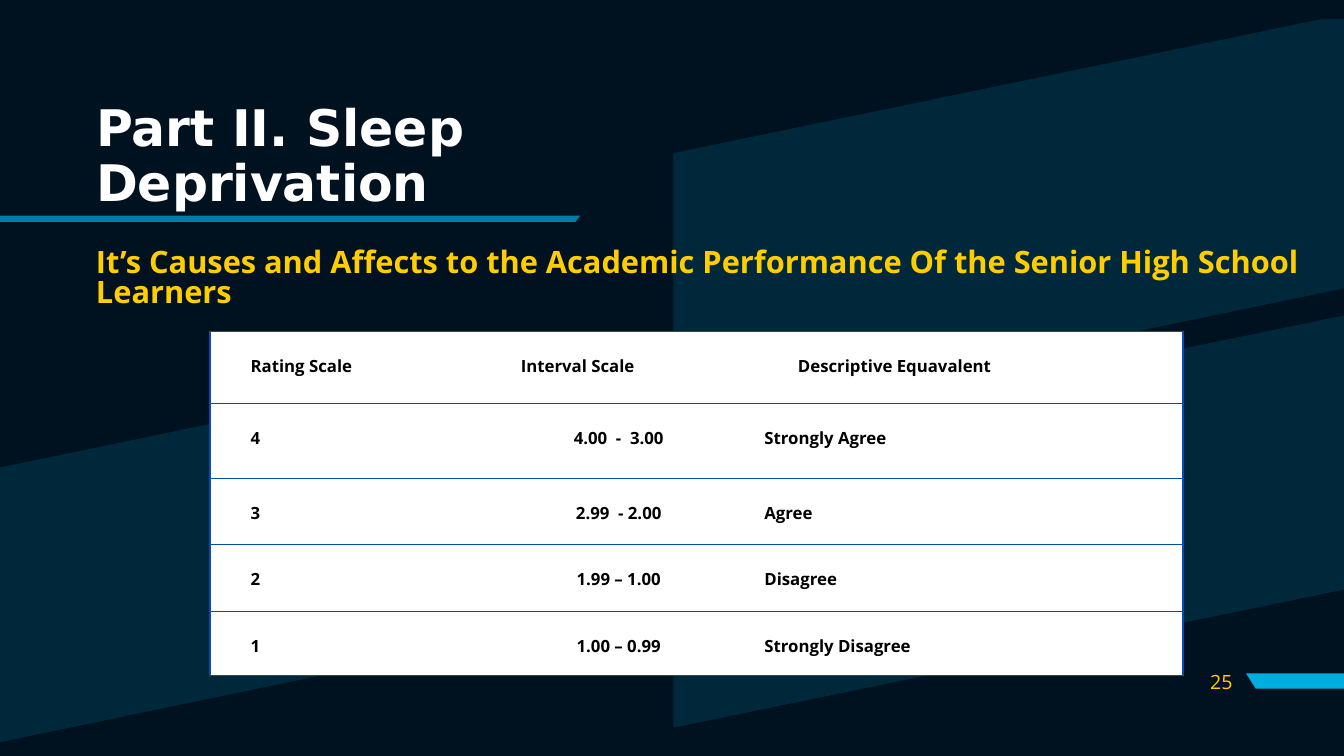
from lxml.etree import SubElement
from pptx import Presentation
from pptx.dml.color import RGBColor
from pptx.enum.text import MSO_ANCHOR, PP_ALIGN
from pptx.oxml import parse_xml
from pptx.oxml.ns import nsdecls, qn
from pptx.util import Pt

NAVY = RGBColor(0x00, 0x11, 0x1F)
CYAN = RGBColor(0x00, 0xAE, 0xDE)
WHITE = RGBColor(0xFF, 0xFF, 0xFF)
BLACK = RGBColor(0x00, 0x00, 0x00)
GOLD = RGBColor(0xFF, 0xCD, 0x00)
BLUE = RGBColor(0x00, 0x4C, 0xB9)

BODY_FONT = "Open Sans"
TITLE_FONT = "DejaVu Sans"

PANELS = [
    [(461.5, 238.3), (461.5, 434.2), (0.7, 530), (0, 530), (0, 334)],
    [(960, 225.4), (960, 421.2), (481, 519.8), (481, 324)],
    [(944, 13.7), (960, 13.7), (960, 206), (481, 305.3), (481, 109.4)],
]
PAGE_BAR = [(960, 481), (960, 491.8), (897, 491.8), (890, 481)]
TITLE_RULE = [(0, 154), (0, 158.5), (411, 158.5), (414.5, 154)]

RATINGS = [
    ("Rating Scale", "Interval Scale", "Descriptive Equavalent"),
    ("4", "4.00  -  3.00", "Strongly Agree"),
    ("3", "2.99  - 2.00", "Agree"),
    ("2", "1.99 – 1.00", "Disagree"),
    ("1", "1.00 – 0.99", "Strongly Disagree"),
]
COLUMN_WIDTHS = [193, 198, 304]
ROW_HEIGHTS = [51, 54, 47, 48, 45.5]


def write_text(frame, text, size, color, font=BODY_FONT, bold=True,
               align=PP_ALIGN.LEFT, spacing=1.0, after=0, indent=0):
    para = frame.paragraphs[0]
    para.alignment = align
    para.line_spacing = spacing
    para.space_after = Pt(after)
    if indent:
        properties = para._p.get_or_add_pPr()
        properties.set("marL", str(Pt(indent)))
        properties.set("indent", "0")
    span = para.add_run()
    span.text = text
    span.font.size = Pt(size)
    span.font.name = font
    span.font.bold = bold
    span.font.color.rgb = color


def add_text_box(page, left, top, width, height, text, anchor, **text_format):
    box = page.shapes.add_textbox(Pt(left), Pt(top), Pt(width), Pt(height))
    box.text_frame.word_wrap = True
    box.text_frame.vertical_anchor = anchor
    write_text(box.text_frame, text, **text_format)


def add_outline(page, contours, opacity=100):
    builder = None
    for contour in contours:
        points = [(Pt(x), Pt(y)) for x, y in contour]
        if builder is None:
            builder = page.shapes.build_freeform(*points[0])
        else:
            builder.move_to(*points[0])
        builder.add_line_segments(points[1:], close=True)
    shape = builder.convert_to_shape()
    shape.shadow.inherit = False
    shape.fill.solid()
    shape.fill.fore_color.rgb = CYAN
    shape.line.fill.background()
    if opacity < 100:
        color = shape.element.spPr.find(qn("a:solidFill")).find(qn("a:srgbClr"))
        SubElement(color, qn("a:alpha")).set("val", str(opacity * 1000))


def set_borders(cell, visible_sides):
    properties = cell._tc.get_or_add_tcPr()
    for position, side in enumerate("LRTB"):
        if side in visible_sides:
            paint = f'<a:solidFill><a:srgbClr val="{BLUE}"/></a:solidFill>'
        else:
            paint = "<a:noFill/>"
        border = parse_xml(
            f'<a:ln{side} {nsdecls("a")} w="{Pt(1)}">{paint}</a:ln{side}>')
        properties.insert(position, border)


def fill_cell(cell, text, row, column):
    cell.margin_left = cell.margin_right = Pt(5)
    cell.margin_top = cell.margin_bottom = Pt(0)
    cell.fill.solid()
    cell.fill.fore_color.rgb = WHITE
    centered = row > 0 and column == 1
    indented = row == 0 or column == 0
    write_text(cell.text_frame, text, size=12, color=BLACK, spacing=2.0, after=10,
               align=PP_ALIGN.CENTER if centered else PP_ALIGN.JUSTIFY,
               indent=24 if indented else 0)
    set_borders(cell, ("LTB", "TB", "RTB")[column])


def add_rating_table(page, left, top):
    frame = page.shapes.add_table(
        len(RATINGS), len(COLUMN_WIDTHS), Pt(left), Pt(top),
        Pt(sum(COLUMN_WIDTHS)), Pt(sum(ROW_HEIGHTS)))
    table = frame.table
    table.first_row = False
    table.horz_banding = False
    for column, width in zip(table.columns, COLUMN_WIDTHS):
        column.width = Pt(width)
    for row, height in zip(table.rows, ROW_HEIGHTS):
        row.height = Pt(height)
    for row, texts in enumerate(RATINGS):
        for column, text in enumerate(texts):
            fill_cell(table.cell(row, column), text, row, column)


def main():
    deck = Presentation()
    deck.slide_width = Pt(960)
    deck.slide_height = Pt(540)
    page = deck.slides.add_slide(deck.slide_layouts[6])
    page.background.fill.solid()
    page.background.fill.fore_color.rgb = NAVY

    add_outline(page, PANELS, opacity=15)
    add_outline(page, [PAGE_BAR])
    add_outline(page, [TITLE_RULE], opacity=70)

    add_text_box(page, 61.5, 81.5, 398, 62, "Part II. Sleep Deprivation",
                 MSO_ANCHOR.MIDDLE, size=36, color=WHITE, font=TITLE_FONT,
                 spacing=0.9)
    add_text_box(page, 844.5, 472.5, 43, 29, "25", MSO_ANCHOR.MIDDLE, size=14,
                 color=GOLD, bold=False, align=PP_ALIGN.RIGHT)
    add_text_box(page, 61.5, 175, 885.5, 62,
                 "It’s Causes and Affects to the Academic Performance "
                 "Of the Senior High School Learners",
                 MSO_ANCHOR.TOP, size=22, color=GOLD, spacing=0.81)
    add_rating_table(page, 150, 237)

    deck.save("out.pptx")


if __name__ == "__main__":
    main()
